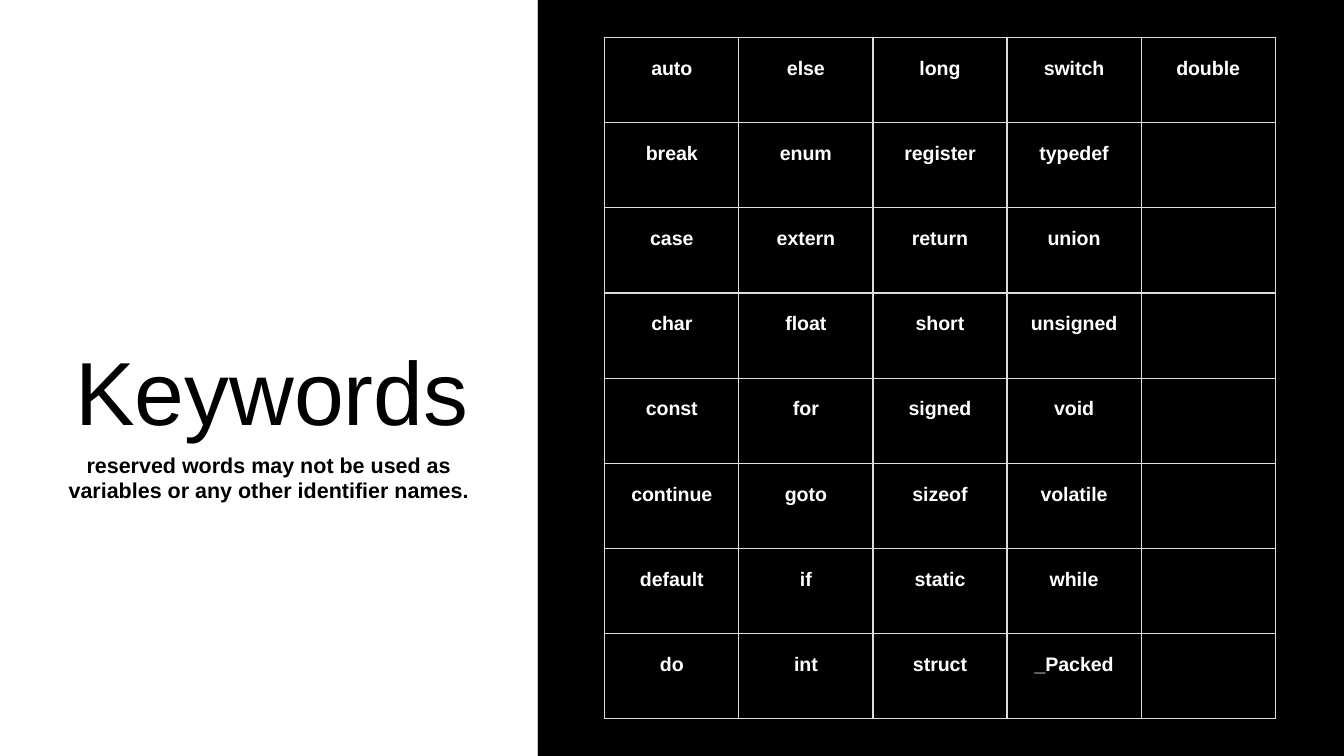
from lxml.etree import SubElement
from pptx import Presentation
from pptx.dml.color import RGBColor
from pptx.enum.shapes import MSO_SHAPE
from pptx.enum.text import MSO_ANCHOR, MSO_AUTO_SIZE, PP_ALIGN
from pptx.oxml.ns import qn
from pptx.util import Inches, Pt

# Content
TITLE = "Keywords"
SUBTITLE = "reserved words may not be used as variables or any other identifier names."
KEYWORDS = [
    ("auto", "else", "long", "switch", "double"),
    ("break", "enum", "register", "typedef"),
    ("case", "extern", "return", "union"),
    ("char", "float", "short", "unsigned"),
    ("const", "for", "signed", "void"),
    ("continue", "goto", "sizeof", "volatile"),
    ("default", "if", "static", "while"),
    ("do", "int", "struct", "_Packed"),
]

# Style
FONT = "Arial"
BLACK = RGBColor(0x00, 0x00, 0x00)
WHITE = RGBColor(0xFF, 0xFF, 0xFF)
GRID = RGBColor(0xDD, 0xDD, 0xDD)
WIDTH, SPLIT = 10, 4
HEIGHT = WIDTH * 9 / 16
TABLE_WIDTH, TABLE_HEIGHT = 4.99, 5.07


def style_paragraph(paragraph, size, color, bold, alignment, line=1.0, before=0, after=0):
    paragraph.font.name = FONT
    paragraph.font.size = Pt(size)
    paragraph.font.bold = bold
    paragraph.font.color.rgb = color
    paragraph.alignment = alignment
    paragraph.line_spacing = line
    paragraph.space_before = Pt(before)
    paragraph.space_after = Pt(after)


def place_text(placeholder, text, box, anchor, left_margin=0.1, bottom_margin=0.1):
    placeholder.left, placeholder.top, placeholder.width, placeholder.height = map(Inches, box)
    frame = placeholder.text_frame
    frame.text = text
    frame.word_wrap = True
    frame.auto_size = MSO_AUTO_SIZE.NONE
    frame.vertical_anchor = anchor
    frame.margin_left, frame.margin_bottom = Inches(left_margin), Inches(bottom_margin)
    frame.margin_right = frame.margin_top = Inches(0.1)
    return frame.paragraphs[0]


def add_borders(cell):
    properties = cell._tc.get_or_add_tcPr()
    for position, side in enumerate(("a:lnL", "a:lnR", "a:lnT", "a:lnB")):
        line = properties.makeelement(qn(side), {"w": str(Pt(0.75))})
        fill = SubElement(line, qn("a:solidFill"))
        SubElement(fill, qn("a:srgbClr"), val=str(GRID))
        properties.insert(position, line)


presentation = Presentation()
presentation.slide_width = Inches(WIDTH)
presentation.slide_height = Inches(HEIGHT)
slide = presentation.slides.add_slide(presentation.slide_layouts[0])
title, subtitle = slide.placeholders

# Black and white panels, behind the text
for left, right, color in ((SPLIT, WIDTH, BLACK), (0, SPLIT, WHITE)):
    panel = slide.shapes.add_shape(
        MSO_SHAPE.RECTANGLE, Inches(left), 0, Inches(right - left), Inches(HEIGHT))
    panel.shadow.inherit = False
    panel.fill.solid()
    panel.fill.fore_color.rgb = color
    panel.line.fill.background()
    title.element.addprevious(panel.element)

# Title and subtitle
paragraph = place_text(title, TITLE, (0.28, 2.1, 3.82, 1.4), MSO_ANCHOR.BOTTOM,
                       left_margin=0.28, bottom_margin=0.2)
style_paragraph(paragraph, 48, BLACK, False, PP_ALIGN.LEFT, line=1.37, before=15, after=8)
paragraph = place_text(subtitle, SUBTITLE, (0.21, 3.26, 3.58, 0.72), MSO_ANCHOR.TOP)
style_paragraph(paragraph, 11.5, BLACK, True, PP_ALIGN.CENTER)

# Keyword table
row_count, column_count = len(KEYWORDS), len(KEYWORDS[0])
table = slide.shapes.add_table(
    row_count, column_count, Inches(4.5), Inches(0.28),
    Inches(TABLE_WIDTH), Inches(TABLE_HEIGHT)).table
table.first_row = table.horz_banding = False
for cell in table.iter_cells():
    cell.fill.background()
    cell.margin_left = cell.margin_right = Inches(0.08)
    cell.margin_top = cell.margin_bottom = Inches(0.08)
    add_borders(cell)
for row_index, words in enumerate(KEYWORDS):
    for column_index, word in enumerate(words):
        cell = table.cell(row_index, column_index)
        cell.text = word
        style_paragraph(cell.text_frame.paragraphs[0], 10.5, WHITE, True,
                        PP_ALIGN.CENTER, line=1.43, after=15)

presentation.save("out.pptx")
